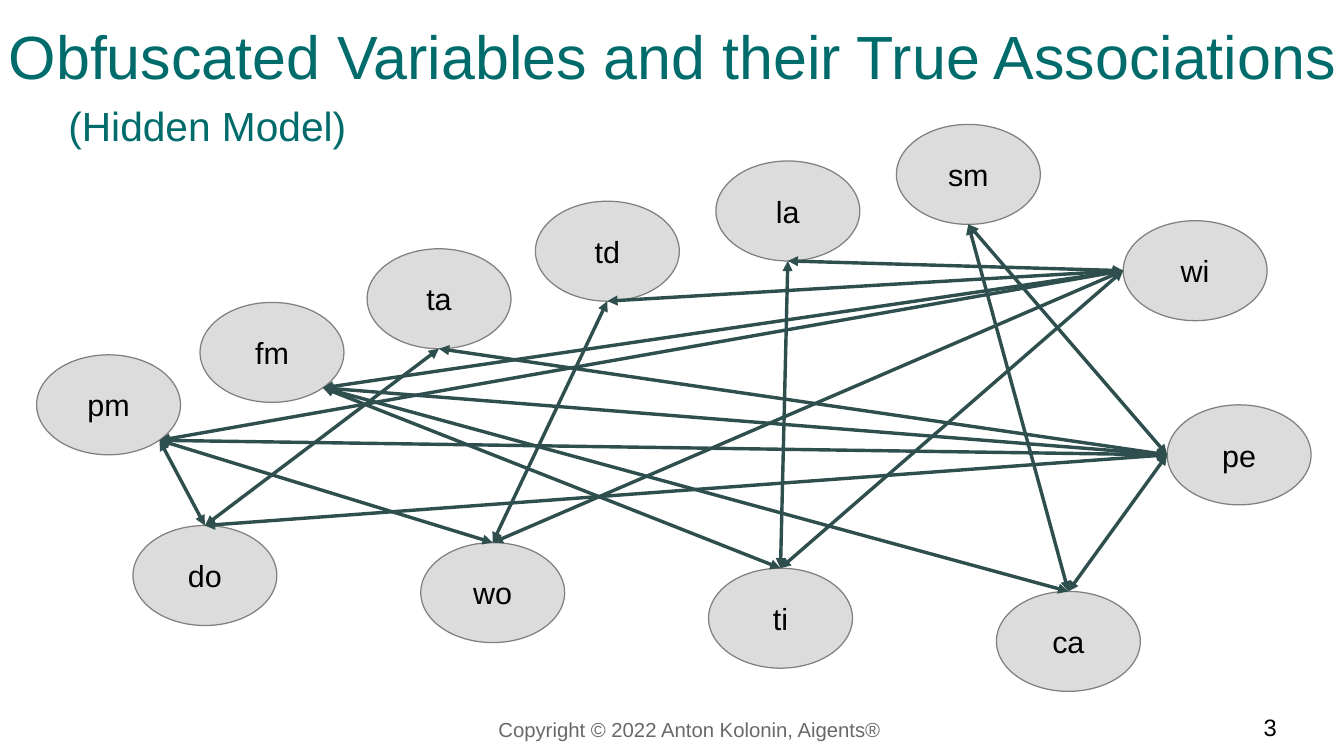
from lxml.etree import SubElement
from pptx import Presentation
from pptx.dml.color import RGBColor
from pptx.enum.shapes import MSO_CONNECTOR, MSO_SHAPE
from pptx.enum.text import MSO_ANCHOR, MSO_AUTO_SIZE, PP_ALIGN
from pptx.oxml.ns import qn
from pptx.util import Inches, Pt

TEAL = RGBColor(0x00, 0x6B, 0x6B)
SLATE = RGBColor(0x2F, 0x4F, 0x4F)
PALE = RGBColor(0xDC, 0xDC, 0xDC)
EDGE = RGBColor(0x80, 0x80, 0x80)
DIM = RGBColor(0x69, 0x69, 0x69)
BLACK = RGBColor(0, 0, 0)

WIDE, HIGH = 1.18, 0.82
TOP, LEFT, BASE, CORNER = (0.5, 0), (0, 0.5), (0.5, 1), (0.855, 0.855)

NODES = {
    "pm": (0.3, 2.91, CORNER),
    "fm": (1.64, 2.48, CORNER),
    "ta": (3.01, 2.04, BASE),
    "td": (4.39, 1.65, BASE),
    "la": (5.87, 1.32, BASE),
    "sm": (7.35, 1.02, BASE),
    "do": (1.09, 4.31, TOP),
    "wo": (3.45, 4.45, TOP),
    "ti": (5.81, 4.66, TOP),
    "ca": (8.17, 4.85, TOP),
    "pe": (9.57, 3.32, LEFT),
    "wi": (9.21, 1.81, LEFT),
}
LINKS = {
    "do": ("pm", "ta"),
    "wo": ("pm", "td"),
    "ti": ("fm", "la"),
    "ca": ("sm", "fm"),
    "pe": ("ca", "do", "pm", "fm", "ta", "sm"),
    "wi": ("ti", "wo", "la", "fm", "pm", "td"),
}


def write(shape, text, size, color, align=PP_ALIGN.CENTER,
          anchor=MSO_ANCHOR.MIDDLE, wrap=False, pad=(0.1, 0.05)):
    """Fill a shape with one line of styled text."""
    frame = shape.text_frame
    frame.auto_size = MSO_AUTO_SIZE.NONE
    frame.word_wrap = wrap
    frame.vertical_anchor = anchor
    frame.margin_left = frame.margin_right = Inches(pad[0])
    frame.margin_top = frame.margin_bottom = Inches(pad[1])
    para = frame.paragraphs[0]
    para.alignment = align
    run = para.add_run()
    run.text = text
    run.font.name = "Arial"
    run.font.size = Pt(size)
    run.font.color.rgb = color


def add_head(slide, x, y, w, h):
    """Place the title and its subtitle in the given box."""
    title = slide.shapes.title
    title.left, title.top = Inches(x), Inches(y)
    title.width, title.height = Inches(w), Inches(h)
    write(title, "Obfuscated Variables and their True Associations", 36, TEAL)
    sub = slide.shapes.add_textbox(
        Inches(x + 0.49), Inches(y + 0.72), Inches(2.48), Inches(0.65))
    write(sub, "(Hidden Model)", 24, TEAL)


def add_node(slide, name, x, y):
    """Draw one variable as a labelled oval."""
    oval = slide.shapes.add_shape(
        MSO_SHAPE.OVAL, Inches(x), Inches(y), Inches(WIDE), Inches(HIGH))
    oval.shadow.inherit = False
    oval.fill.solid()
    oval.fill.fore_color.rgb = PALE
    oval.line.color.rgb = EDGE
    oval.line.width = Pt(0)
    write(oval, name, 18, BLACK)


def add_link(slide, start, end):
    """Join two points with a thin two-headed arrow."""
    link = slide.shapes.add_connector(
        MSO_CONNECTOR.STRAIGHT, *map(Inches, start + end))
    link.line.color.rgb = SLATE
    link.line.width = Pt(0)
    line = link.line._get_or_add_ln()
    for tip in ("a:headEnd", "a:tailEnd"):
        SubElement(line, qn(tip), type="triangle")
    SubElement(link._element.spPr, qn("a:effectLst"))


def add_graph(slide, left, top):
    """Draw the ovals and their links from the given corner."""
    ports = {}
    for name, (x, y, (across, down)) in NODES.items():
        add_node(slide, name, left + x, top + y)
        ports[name] = (left + x + across * WIDE, top + y + down * HIGH)
    for start, ends in LINKS.items():
        for end in ends:
            add_link(slide, ports[start], ports[end])


def add_foot(slide, x, y, w, h):
    """Place the copyright line and the page number in the given box."""
    parts = (
        (x, w - 0.84, "Copyright © 2022 Anton Kolonin, Aigents®", 12, DIM,
         PP_ALIGN.CENTER),
        (x + w - 0.97, 0.97, "3", 14, BLACK, PP_ALIGN.RIGHT),
    )
    for left, wide, text, size, color, align in parts:
        box = slide.shapes.add_textbox(
            Inches(left), Inches(y), Inches(wide), Inches(h))
        write(box, text, size, color, align, MSO_ANCHOR.BOTTOM, True, (0, 0))


def main():
    """Build the slide and save the deck."""
    deck = Presentation()
    deck.slide_width, deck.slide_height = Inches(11.02), Inches(6.2)
    slide = deck.slides.add_slide(deck.slide_layouts[5])
    add_graph(slide, 0, 0)
    add_head(slide, -0.03, -0.02, 11.09, 0.94)
    add_foot(slide, 1.68, 5.8, 8.79, 0.28)
    deck.save("out.pptx")


if __name__ == "__main__":
    main()
